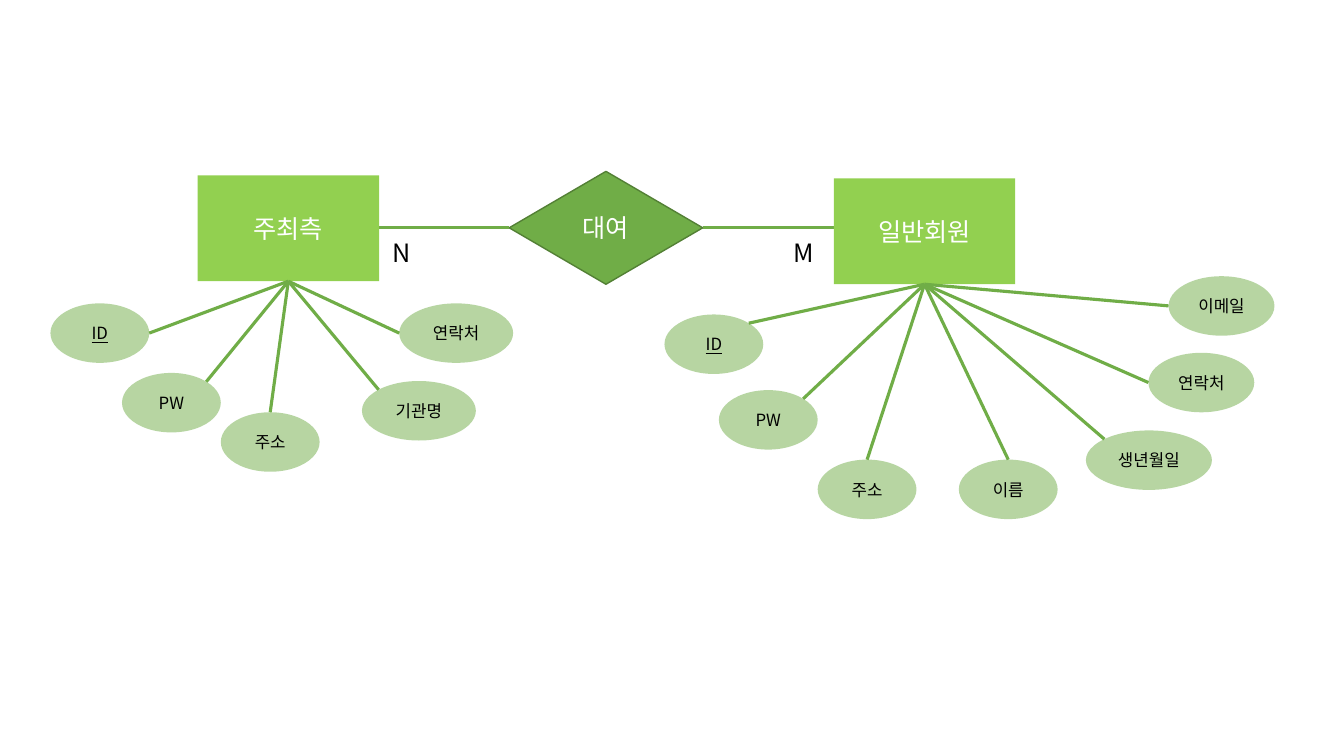
from math import sqrt

from lxml.etree import SubElement
from pptx import Presentation
from pptx.dml.color import RGBColor
from pptx.enum.shapes import MSO_CONNECTOR as CONNECTOR, MSO_SHAPE as SHAPE
from pptx.enum.text import MSO_ANCHOR as ANCHOR, PP_ALIGN as ALIGN
from pptx.oxml.ns import qn
from pptx.util import Inches, Pt

GREEN = RGBColor(0x70, 0xAD, 0x47)
DARK_GREEN = RGBColor(0x53, 0x80, 0x35)
LIME = RGBColor(0x92, 0xD0, 0x50)
WHITE = RGBColor(0xFF, 0xFF, 0xFF)
BLACK = RGBColor(0x00, 0x00, 0x00)
FONT = "Noto Sans CJK KR"

ENTITY_W, ENTITY_H = 1.8, 1.05
ATTRIBUTE_H = 0.59
LINK_Y = 2.26

# Where a link meets an ellipse, as shares of its width and height
DIAGONAL = 0.5 - sqrt(0.5) / 2
SITES = {
    "top": (0.5, 0),
    "left": (0, 0.5),
    "right": (1, 0.5),
    "top left": (DIAGONAL, DIAGONAL),
    "top right": (1 - DIAGONAL, DIAGONAL),
}

# Attributes: label, left, top, width, site of the link
HOST_ATTRIBUTES = [
    ("ID", 0.5, 3.01, 0.98, "right"),
    ("PW", 1.21, 3.7, 0.98, "top right"),
    ("주소", 2.19, 4.09, 0.98, "top"),
    ("기관명", 3.59, 3.78, 1.13, "top left"),
    ("연락처", 3.96, 3.01, 1.13, "left"),
]
MEMBER_ATTRIBUTES = [
    ("ID", 6.59, 3.12, 0.98, "top right"),
    ("PW", 7.13, 3.87, 0.98, "top right"),
    ("주소", 8.11, 4.56, 0.98, "top"),
    ("이름", 9.51, 4.56, 0.98, "top"),
    ("생년월일", 10.77, 4.27, 1.25, "top left"),
    ("연락처", 11.39, 3.5, 1.05, "left"),
    ("이메일", 11.59, 2.74, 1.05, "left"),
]


def write(frame, text, size, color, align, underline=False):
    """Put one formatted run into a text frame."""
    paragraph = frame.paragraphs[0]
    paragraph.alignment = align
    run = paragraph.add_run()
    run.text = text
    font = run.font
    font.size = Pt(size)
    font.color.rgb = color
    font.name = FONT
    if underline:
        font.underline = True
    SubElement(run._r.get_or_add_rPr(), qn("a:ea"), typeface=FONT)


def add_node(shapes, kind, box, fill, text, size, color, underline=False):
    """Add a filled shape without outline, with a centred label."""
    node = shapes.add_shape(kind, *map(Inches, box))
    node.shadow.inherit = False
    node.fill.solid()
    node.fill.fore_color.rgb = fill
    node.line.fill.background()
    node.text_frame.word_wrap = True
    node.text_frame.vertical_anchor = ANCHOR.MIDDLE
    write(node.text_frame, text, size, color, ALIGN.CENTER, underline)
    return node


def add_link(shapes, start, end):
    """Draw a green straight link between two points."""
    link = shapes.add_connector(CONNECTOR.STRAIGHT, *map(Inches, (*start, *end)))
    link.line.color.rgb = GREEN
    link.line.width = Pt(2.25)
    SubElement(link._element.spPr, qn("a:effectLst"))
    return link


def add_attribute(shapes, label, left, top, width):
    """Add a half-transparent ellipse; the key attribute is underlined."""
    ellipse = add_node(shapes, SHAPE.OVAL, (left, top, width, ATTRIBUTE_H),
                       GREEN, label, 12, BLACK, underline=label == "ID")
    fill_color = ellipse._element.spPr.find(qn("a:solidFill"))[0]
    SubElement(fill_color, qn("a:alpha"), val="50000")


def add_entity(slide, name, left, top, attributes):
    """Group an entity box with its attributes and their links."""
    shapes = slide.shapes.add_group_shape().shapes
    entity = add_node(shapes, SHAPE.RECTANGLE, (left, top, ENTITY_W, ENTITY_H),
                      LIME, name, 18, WHITE)
    for label, x, y, width, _ in attributes:
        add_attribute(shapes, label, x, y, width)
    foot = (left + ENTITY_W / 2, top + ENTITY_H)
    for _, x, y, width, site in attributes:
        across, down = SITES[site]
        link = add_link(shapes, foot, (x + across * width, y + down * ATTRIBUTE_H))
        link.begin_connect(entity, 2)


def add_relationship(slide, name):
    """Add the relationship diamond and its links to both entities."""
    diamond = add_node(slide.shapes, SHAPE.DIAMOND, (5.05, 1.7, 1.92, 1.12),
                       GREEN, name, 18, WHITE)
    diamond.line.color.rgb = DARK_GREEN
    diamond.line.width = Pt(1)
    for start, end in [(3.75, 5.05), (6.97, 8.27)]:
        add_link(slide.shapes, (start, LINK_Y), (end, LINK_Y))


def add_cardinality(slide, letter, left):
    """Write a cardinality letter below a relationship link."""
    label = slide.shapes.add_textbox(*map(Inches, (left, 2.31, 0.46, 0.4)))
    label.text_frame.word_wrap = True
    write(label.text_frame, letter, 18, BLACK, ALIGN.LEFT)


def main():
    """Build the entity-relationship slide."""
    deck = Presentation()
    deck.slide_width, deck.slide_height = Inches(13.33), Inches(7.5)
    slide = deck.slides.add_slide(deck.slide_layouts[6])
    add_relationship(slide, "대여")
    add_entity(slide, "주최측", 1.96, 1.74, HOST_ATTRIBUTES)
    add_entity(slide, "일반회원", 8.27, 1.77, MEMBER_ATTRIBUTES)
    add_cardinality(slide, "N", 3.79)
    add_cardinality(slide, "M", 7.77)
    deck.save("out.pptx")


main()
